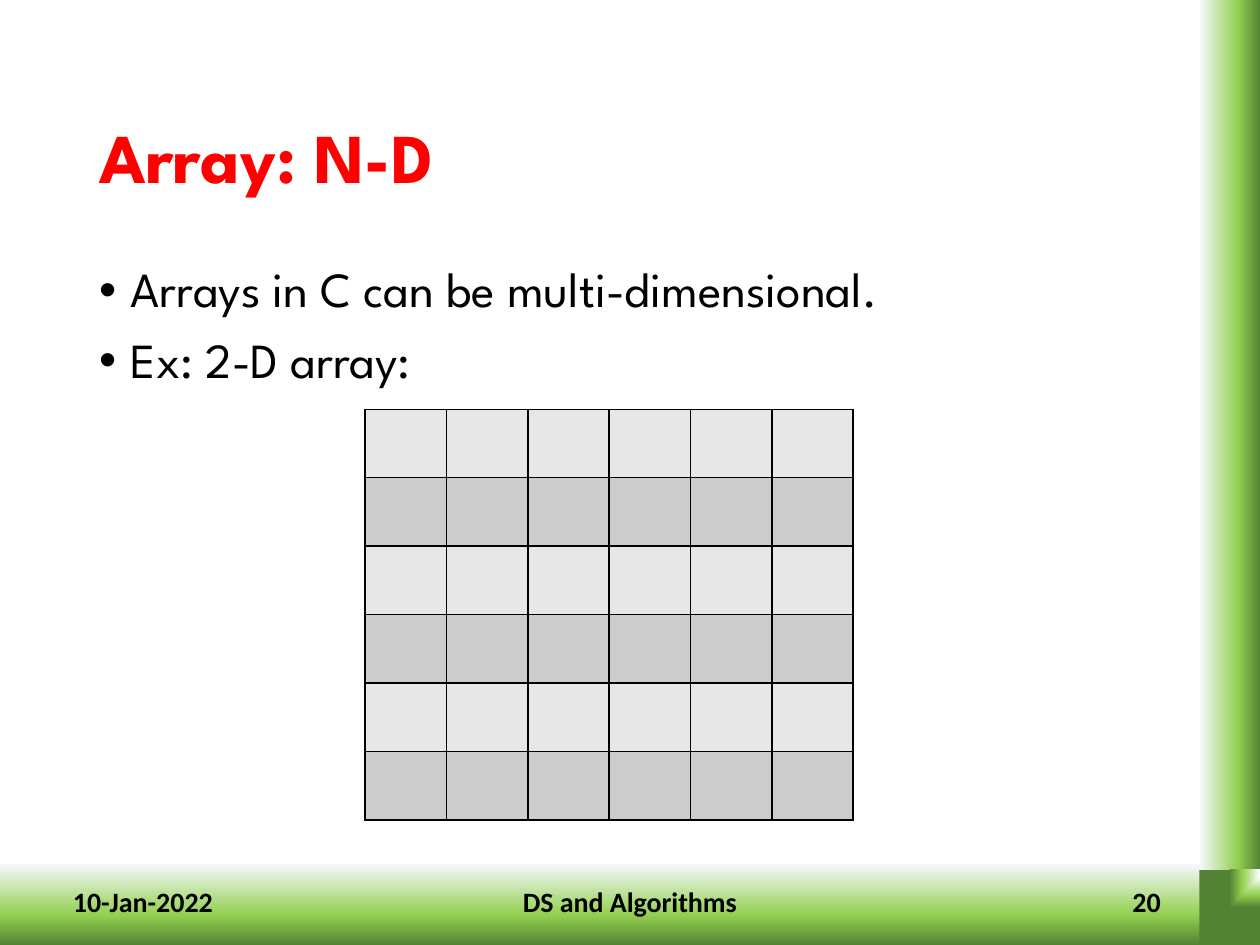
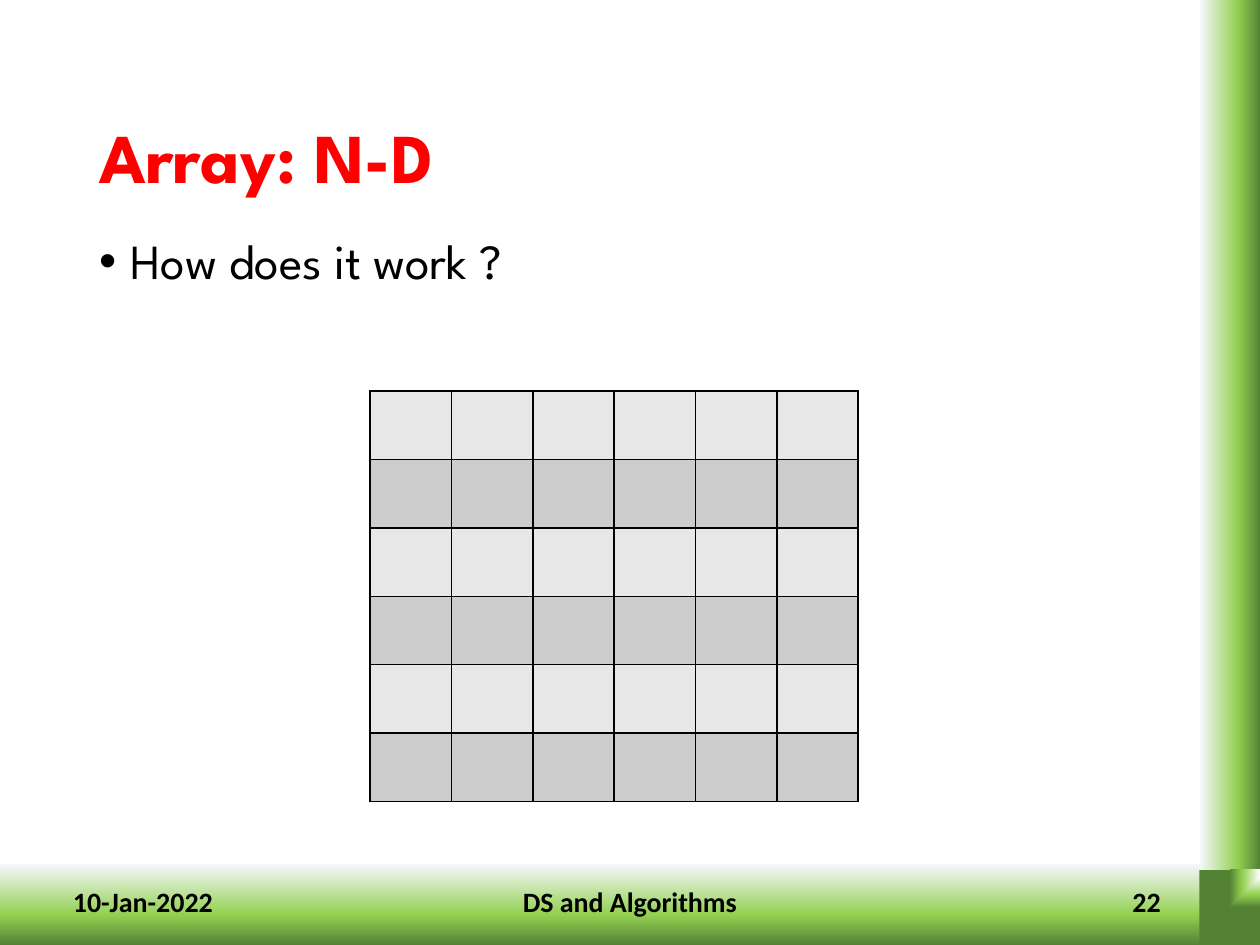
import lxml.etree
import pptx
import pptx.dml.color
import pptx.enum.shapes
import pptx.enum.text
import pptx.oxml
import pptx.oxml.ns
import pptx.util

Cm = pptx.util.Cm
Pt = pptx.util.Pt
ALIGN = pptx.enum.text.PP_ALIGN
ANCHOR = pptx.enum.text.MSO_ANCHOR
qn = pptx.oxml.ns.qn

COLORS = {
    "title": "FF0000",
    "text": "000000",
    "border": "000000",
    "pale": "F6F8FC",
    "white": "FFFFFF",
    "lime": "92D050",
    "forest": "548235",
    "light_row": "E7E7E7",
    "dark_row": "CCCCCC",
}
HEADING_FONT = "League Spartan"
FOOTER_FONT = "Calibri"
TITLE = "Array: N-D"
DATE = "10-Jan-2022"
COURSE = "DS and Algorithms"
GRID_SIZE = 6
CELL_WIDTH, CELL_HEIGHT = 1.64, 1.38
LINEAR = '<a:lin ang="5400000" scaled="0"/>'
CORNER = '<a:path path="rect"><a:fillToRect l="100000" b="100000"/></a:path>'
BAND_STOPS = ((0, "pale"), (63, "lime"), (100, "forest"))
CORNER_STOPS = ((0, "white"), (58, "lime"), (100, "forest"))


def rgb(name):
    """Return the named colour as an RGBColor."""
    return pptx.dml.color.RGBColor.from_string(COLORS[name])


def drawing_xml(tag, attributes, content):
    """Return a drawing element built from its tag, attributes and content."""
    namespace = pptx.oxml.ns.nsdecls("a")
    return pptx.oxml.parse_xml(f"<a:{tag} {namespace} {attributes}>{content}</a:{tag}>")


def add_gradient_band(slide, left, top, width, height, stops, direction, rotation=0):
    """Add a borderless rectangle with a gradient fill."""
    shape = slide.shapes.add_shape(
        pptx.enum.shapes.MSO_SHAPE.RECTANGLE, Cm(left), Cm(top), Cm(width), Cm(height))
    shape.rotation = rotation
    shape.shadow.inherit = False
    shape.line.fill.background()
    shape.fill.background()
    stop_xml = "".join(
        f'<a:gs pos="{position * 1000}"><a:srgbClr val="{COLORS[color]}"/></a:gs>'
        for position, color in stops)
    gradient = drawing_xml(
        "gradFill", 'rotWithShape="1"', f"<a:gsLst>{stop_xml}</a:gsLst>{direction}")
    properties = shape._element.spPr
    properties.replace(properties.find(qn("a:noFill")), gradient)


def add_text(slide, left, top, width, height, text, size, font,
             color="text", bold=False, align=ALIGN.LEFT, anchor=ANCHOR.MIDDLE):
    """Add a wrapped text box in one style and return its text frame."""
    box = slide.shapes.add_textbox(Cm(left), Cm(top), Cm(width), Cm(height))
    frame = box.text_frame
    frame.word_wrap = True
    frame.vertical_anchor = anchor
    frame.text = text
    for paragraph in frame.paragraphs:
        paragraph.alignment = align
        for run in paragraph.runs:
            run.font.size = Pt(size)
            run.font.name = font
            run.font.bold = bold
            run.font.color.rgb = rgb(color)
    return frame


def add_bullets(slide, top, lines):
    """Add the bulleted body text."""
    frame = add_text(slide, 1.75, top, 21.9, 12.09, "\n".join(lines), 28,
                     HEADING_FONT, anchor=ANCHOR.TOP)
    for paragraph in frame.paragraphs:
        paragraph.line_spacing = 0.9
        paragraph.space_before = Pt(10)
        properties = paragraph._p.get_or_add_pPr()
        properties.set("marL", str(Cm(0.635)))
        properties.set("indent", str(-Cm(0.635)))
        properties.append(drawing_xml("buFont", 'typeface="Arial"', ""))
        properties.append(drawing_xml("buChar", 'char="•"', ""))


def add_array_grid(slide, left, top):
    """Add the empty square table that shows a 2-D array."""
    table = slide.shapes.add_table(
        GRID_SIZE, GRID_SIZE, Cm(left), Cm(top),
        Cm(GRID_SIZE * CELL_WIDTH), Cm(GRID_SIZE * CELL_HEIGHT)).table
    line = (f'<a:solidFill><a:srgbClr val="{COLORS["border"]}"/></a:solidFill>'
            '<a:prstDash val="solid"/>')
    for row_index, row in enumerate(table.rows):
        for cell in row.cells:
            cell.fill.solid()
            cell.fill.fore_color.rgb = rgb("dark_row" if row_index % 2 else "light_row")
            properties = cell._tc.get_or_add_tcPr()
            for position, side in enumerate("LRTB"):
                border = drawing_xml(f"ln{side}", f'w="{Pt(1)}"', line)
                properties.insert(position, border)


def add_frame(slide, number):
    """Add the bands, title and footer that every slide shares."""
    add_gradient_band(slide, -0.18, 17.42, 25.58, 1.63, BAND_STOPS, LINEAR)
    add_gradient_band(slide, 15.97, 8.22, 17.65, 1.22, BAND_STOPS, LINEAR, 270)
    add_gradient_band(slide, 24.03, 17.68, 1.52, 1.22, CORNER_STOPS, CORNER, 270)
    title = add_text(slide, 1.75, 1.4, 21.9, 3.68, TITLE, 40, HEADING_FONT,
                     color="title", bold=True)
    title.paragraphs[0].line_spacing = 0.9
    footers = (
        (1.22, 5.72, DATE, ALIGN.LEFT),
        (8.41, 8.58, COURSE, ALIGN.CENTER),
        (17.93, 5.72, str(number), ALIGN.RIGHT),
    )
    for left, width, text, align in footers:
        add_text(slide, left, 17.65, width, 1.02, text, 16, FOOTER_FONT,
                 bold=True, align=align)


def add_array_slide(presentation, number, bullets_top, bullets, grid_left, grid_top):
    """Add one slide with bullets above an array grid."""
    slide = presentation.slides.add_slide(presentation.slide_layouts[6])
    add_frame(slide, number)
    add_bullets(slide, bullets_top, bullets)
    add_array_grid(slide, grid_left, grid_top)


def main():
    """Build and save the presentation."""
    presentation = pptx.Presentation()
    presentation.slide_width = Cm(25.4)
    presentation.slide_height = Cm(19.05)
    add_array_slide(presentation, 20, 5.23,
                    ["Arrays in C can be multi-dimensional.", "Ex: 2-D array:"],
                    7.36, 8.25)
    add_array_slide(presentation, 22, 4.65, ["How does it work ?"], 7.46, 7.88)
    presentation.save("out.pptx")


if __name__ == "__main__":
    main()
